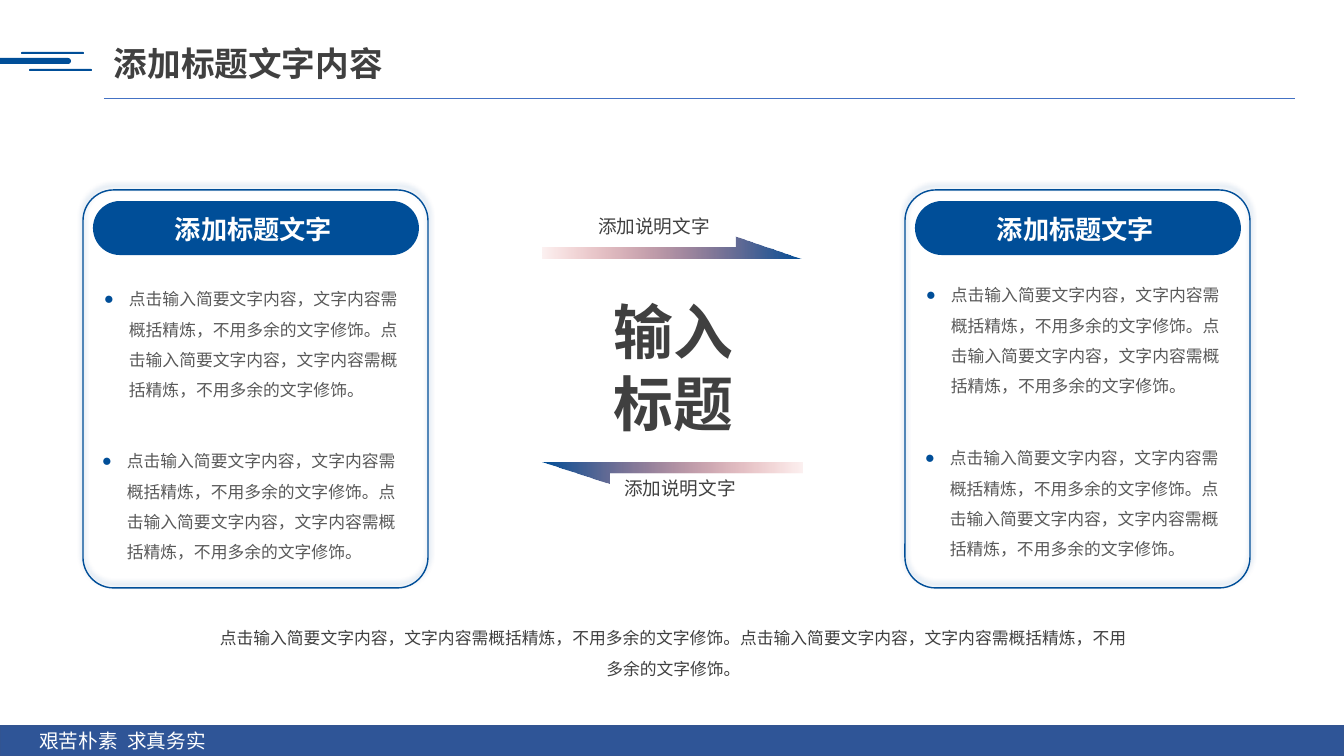
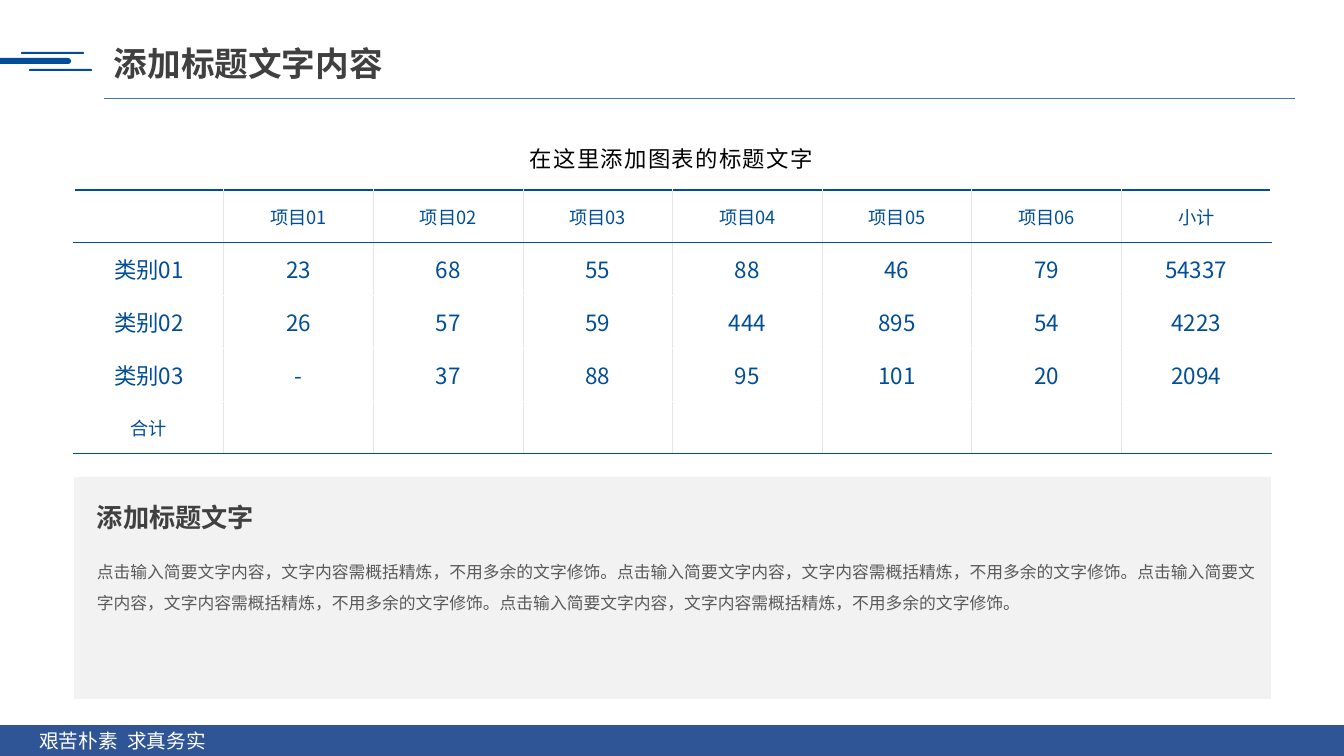
from lxml.etree import SubElement
from pptx import Presentation
from pptx.dml.color import RGBColor
from pptx.enum.shapes import MSO_CONNECTOR, MSO_SHAPE
from pptx.enum.text import MSO_ANCHOR, PP_ALIGN
from pptx.oxml.ns import qn
from pptx.util import Pt

PX = 9071
COLORS = {
    "navy": "004E98", "footer": "2F5597", "footer_edge": "325491",
    "rule": "4472C4", "red": "CB0B0A", "dark": "404040", "body": "595959",
    "panel": "F2F2F2", "grid": "E7E6E6", "white": "FFFFFF", "black": "000000",
}
SANS, HEAD = "Noto Sans CJK SC", "Roboto"
CENTER = PP_ALIGN.CENTER
SENTENCE = "点击输入简要文字内容，文字内容需概括精炼，不用多余的文字修饰。"


def add_box(slide, at, kind=None, fill=None, line=None, rounding=None):
    place = [value * PX for value in at]
    if kind is None:
        box = slide.shapes.add_textbox(*place)
        box.text_frame.word_wrap = True
        return box
    box = slide.shapes.add_shape(kind, *place)
    box.shadow.inherit = False
    if rounding is not None:
        box.adjustments[0] = rounding
    if fill:
        box.fill.solid()
        box.fill.fore_color.rgb = RGBColor.from_string(COLORS[fill])
    else:
        box.fill.background()
    if line:
        box.line.color.rgb = RGBColor.from_string(COLORS[line])
        box.line.width = Pt(1)
    else:
        box.line.fill.background()
    return box


def write(frame, words, size, color, font=SANS, bold=False, align=None,
          leading=None, spacing=0, bullet=False):
    paragraph = frame.paragraphs[0]
    paragraph.alignment = align
    paragraph.line_spacing = leading
    if bullet:
        props = paragraph._p.get_or_add_pPr()
        props.set("marL", str(25 * PX))
        props.set("indent", str(-25 * PX))
        tint = SubElement(props, qn("a:buClr"))
        SubElement(tint, qn("a:srgbClr"), val=COLORS["navy"])
        SubElement(props, qn("a:buFont"), typeface="Arial")
        SubElement(props, qn("a:buChar"), char="●")
    for word in words:
        run = paragraph.add_run()
        run.text = word
        run.font.size = Pt(size)
        run.font.bold = bold
        run.font.name = font
        run.font.color.rgb = RGBColor.from_string(COLORS[color])
        props = run._r.get_or_add_rPr()
        SubElement(props, qn("a:ea"), typeface=SANS)
        extra = 350 if word == " " else spacing
        if extra:
            props.set("spc", str(extra))


deck = Presentation()
deck.slide_width = 1344 * PX
deck.slide_height = 756 * PX
slides = [deck.slides.add_slide(deck.slide_layouts[6]) for _ in range(2)]

for slide in slides:
    for bar in [(-92, 58, 163, 6), (29, 69, 63, 2), (21, 52, 63, 2)]:
        add_box(slide, bar, MSO_SHAPE.ROUNDED_RECTANGLE, "navy", rounding=0.5)
    title = add_box(slide, (104, 38, 375, 50))
    write(title.text_frame, ["添加标题文字内容"], 24, "dark", HEAD, True)
    rule = slide.shapes.add_connector(
        MSO_CONNECTOR.STRAIGHT, 104 * PX, 98 * PX, 1295 * PX, 98 * PX)
    rule.line.color.rgb = RGBColor.from_string(COLORS["rule"])
    rule.line.width = Pt(0.5)
    SubElement(rule._element.spPr, qn("a:effectLst"))
    add_box(slide, (0, 726, 1344, 30), MSO_SHAPE.RECTANGLE, "footer", "footer_edge")
    motto = add_box(slide, (0, 724, 245, 34))
    write(motto.text_frame, ["艰苦朴素", " ", "求真务实"], 14, "white", HEAD, align=CENTER)

compare, summary = slides

cards = [
    (83, [(94, 274), (92, 436)]),
    (905, [(916, 270), (915, 433)]),
]
for left, points in cards:
    card = add_box(compare, (left, 190, 345, 398), MSO_SHAPE.ROUNDED_RECTANGLE,
                   line="navy", rounding=0.089)
    effects = card._element.spPr.find(qn("a:effectLst"))
    glow = SubElement(effects, qn("a:outerShdw"), blurRad=str(Pt(4)),
                      dist=str(Pt(3)), dir="16200000", rotWithShape="0")
    tint = SubElement(glow, qn("a:srgbClr"), val=COLORS["navy"])
    SubElement(tint, qn("a:alpha"), val="40000")
    add_box(compare, (left + 10, 201, 326, 54), MSO_SHAPE.ROUNDED_RECTANGLE,
            "navy", rounding=0.5)
    heading = add_box(compare, (left + 33, 208, 275, 42))
    write(heading.text_frame, ["添加标题文字"], 18.7, "white", HEAD, True, CENTER)
    for x, y in points:
        point = add_box(compare, (x, y, 319, 129))
        write(point.text_frame, [SENTENCE * 2], 12, "body", leading=1.5, bullet=True)

right_arrow = [(735, 237), (802, 258), (542, 258), (542, 247), (735, 247)]
left_arrow = [(1344 - x, 721 - y) for x, y in right_arrow]
for outline, angle in [(right_arrow, 0), (left_arrow, 180)]:
    builder = compare.shapes.build_freeform(*outline[0], scale=PX)
    builder.add_line_segments(outline[1:], close=True)
    arrow = builder.convert_to_shape()
    arrow.shadow.inherit = False
    arrow.line.fill.background()
    arrow.fill.gradient()
    arrow.fill.gradient_angle = angle
    for stop, color in zip(arrow.fill.gradient_stops, ["red", "navy"]):
        stop.color.rgb = RGBColor.from_string(COLORS[color])
    faded = arrow._element.spPr.find(".//" + qn("a:srgbClr"))
    SubElement(faded, qn("a:alpha"), val="6000")

for x, y in [(584, 210), (610, 472)]:
    label = add_box(compare, (x, y, 140, 33))
    write(label.text_frame, ["添加说明文字"], 13.3, "dark", align=CENTER)
topic = add_box(compare, (578, 290, 191, 155))
write(topic.text_frame, ["输入标题"], 42.7, "dark", bold=True, align=CENTER)
closing = add_box(compare, (205, 613, 937, 69))
write(closing.text_frame, [SENTENCE * 2], 12, "dark", align=CENTER, leading=1.5)

add_box(summary, (74, 477, 1197, 222), MSO_SHAPE.RECTANGLE, "panel")
rows = [
    ["", "项目01", "项目02", "项目03", "项目04", "项目05", "项目06", "小计"],
    ["类别01", "23", "68", "55", "88", "46", "79", "54337"],
    ["类别02", "26", "57", "59", "444", "895", "54", "4223"],
    ["类别03", "-", "37", "88", "95", "101", "20", "2094"],
    ["合计", "", "", "", "", "", "", ""],
]
last_row, last_column = len(rows) - 1, len(rows[0]) - 1
totals = summary.shapes.add_table(
    len(rows), len(rows[0]), 74 * PX, 190 * PX, 1197 * PX, 264 * PX).table
totals.first_row = False
totals.horz_banding = False
for r, row in enumerate(rows):
    for c, value in enumerate(row):
        cell = totals.cell(r, c)
        cell.vertical_anchor = MSO_ANCHOR.MIDDLE
        borders = [
            ("a:lnL", "grid" if c > 0 else "white"),
            ("a:lnR", "grid" if c < last_column else "white"),
            ("a:lnT", "navy" if r < 2 else "white"),
            ("a:lnB", "navy" if r in (0, last_row) else "white"),
        ]
        props = cell._tc.get_or_add_tcPr()
        for side, color in borders:
            width = Pt(0.5) if color == "grid" else Pt(1)
            edge = SubElement(props, qn(side), w=str(width))
            paint = SubElement(edge, qn("a:solidFill"))
            SubElement(paint, qn("a:srgbClr"), val=COLORS[color])
        cell.fill.solid()
        cell.fill.fore_color.rgb = RGBColor.from_string(COLORS["white"])
        veil = props.find(qn("a:solidFill")).find(qn("a:srgbClr"))
        SubElement(veil, qn("a:alpha"), val="40000")
        if value:
            size = 13 if r in (0, last_row) else 16
            write(cell.text_frame, [value], size, "navy", align=CENTER)

caption = add_box(summary, (73, 132, 1197, 38)).text_frame
caption.margin_left = caption.margin_right = 0
caption.margin_top = caption.margin_bottom = 0
write(caption, ["在这里添加图表的标题文字"], 16, "black", HEAD,
      align=CENTER, leading=1.5, spacing=100)
note_heading = add_box(summary, (87, 496, 275, 42))
write(note_heading.text_frame, ["添加标题文字"], 18.7, "dark", HEAD, True)
note = add_box(summary, (87, 547, 1183, 99))
write(note.text_frame, [SENTENCE * 4], 12, "body", leading=1.5)

deck.save("out.pptx")
